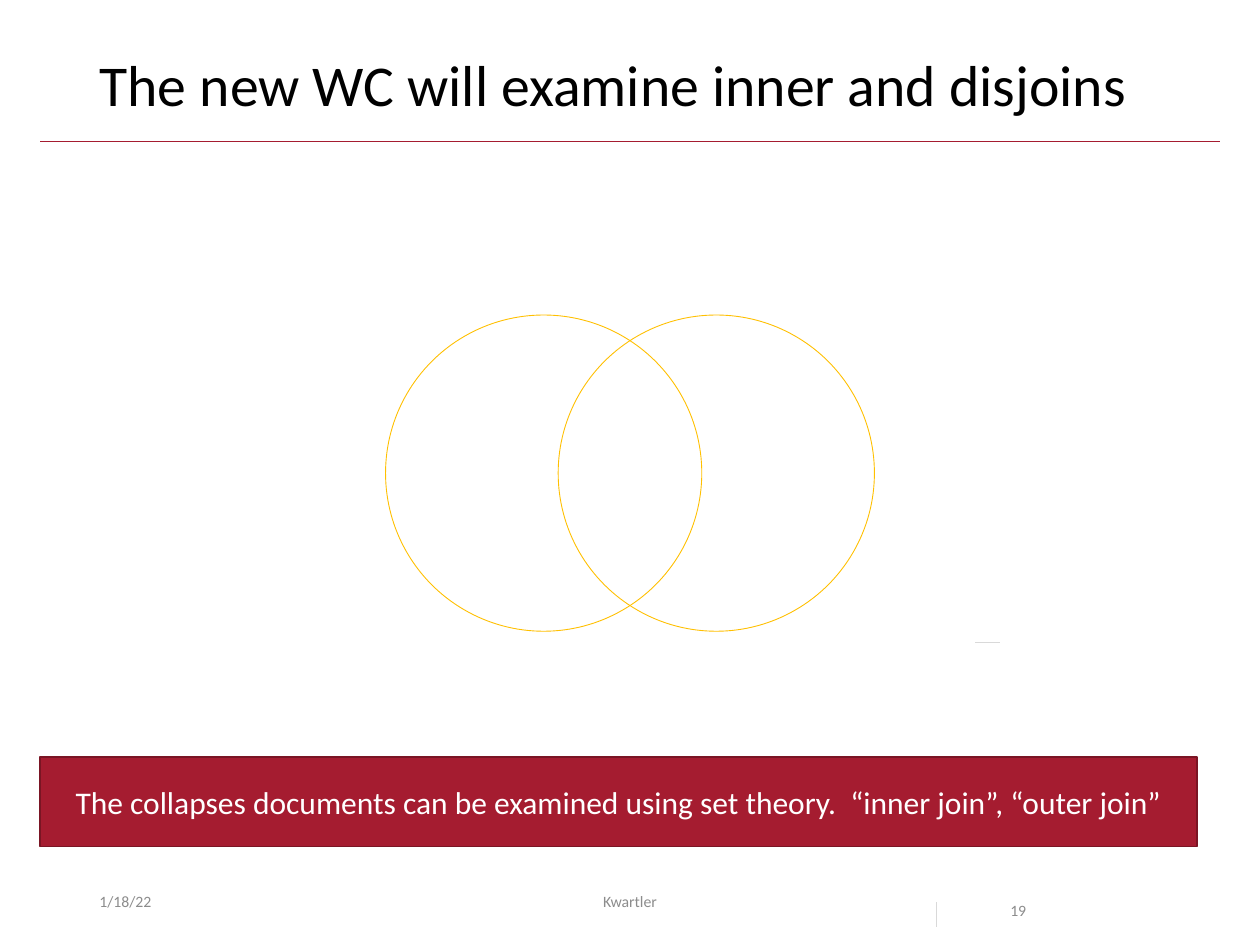
from dataclasses import dataclass

from pptx import Presentation
from pptx.dml.color import RGBColor as RGB
from pptx.enum.shapes import MSO_CONNECTOR as CONN, MSO_SHAPE as SHAPE
from pptx.enum.text import MSO_ANCHOR as ANCHOR, MSO_AUTO_SIZE as FIT, PP_ALIGN as ALIGN
from pptx.oxml.ns import qn
from pptx.util import Inches, Pt


@dataclass(frozen=True)
class Theme:
    font: str = "Calibri"
    title_size: int = 33
    banner_size: int = 18
    footer_size: int = 9
    black: RGB = RGB.from_string("000000")
    white: RGB = RGB.from_string("FFFFFF")
    crimson: RGB = RGB.from_string("A51C30")
    dark_crimson: RGB = RGB.from_string("7A1524")
    gold: RGB = RGB.from_string("FFC000")
    gray: RGB = RGB.from_string("8C8C8C")
    light_gray: RGB = RGB.from_string("D9D9D9")


THEME = Theme()


def write(sp, text, size, color, align=ALIGN.LEFT, anchor=ANCHOR.MIDDLE, spacing=1.0):
    tf = sp.text_frame
    tf.word_wrap = True
    tf.auto_size = FIT.NONE
    tf.vertical_anchor = anchor
    p = tf.paragraphs[0]
    p.alignment = align
    p.line_spacing = spacing
    r = p.add_run()
    r.text = text
    r.font.name = THEME.font
    r.font.size = Pt(size)
    r.font.color.rgb = color


def add_rule(slide, x1, y1, x2, y2, color):
    line = slide.shapes.add_connector(
        CONN.STRAIGHT, Inches(x1), Inches(y1), Inches(x2), Inches(y2))
    line.line.color.rgb = color
    line.line.width = Pt(0.5)
    line._element.spPr.append(line._element.makeelement(qn("a:effectLst"), {}))


def add_title(slide, text, x, y, w, h):
    sp = slide.shapes.title
    sp.left, sp.top, sp.width, sp.height = map(Inches, (x, y, w, h))
    write(sp, text, THEME.title_size, THEME.black, anchor=ANCHOR.TOP, spacing=0.9)


def add_venn(slide, x, y, w, h):
    """Two overlapping circles, as tall as the box, at its two ends."""
    group = slide.shapes.add_group_shape()
    for left in (x, x + w - h):
        sp = group.shapes.add_shape(
            SHAPE.OVAL, Inches(left), Inches(y), Inches(h), Inches(h))
        sp.shadow.inherit = False
        sp.fill.background()
        sp.line.color.rgb = THEME.gold
        sp.line.width = Pt(0.5)


def add_banner(slide, text, x, y, w, h):
    sp = slide.shapes.add_shape(SHAPE.RECTANGLE, *map(Inches, (x, y, w, h)))
    sp.shadow.inherit = False
    sp.fill.solid()
    sp.fill.fore_color.rgb = THEME.crimson
    sp.line.color.rgb = THEME.dark_crimson
    sp.line.width = Pt(1)
    write(sp, text, THEME.banner_size, THEME.white, ALIGN.CENTER)


def add_footer(slide, y, h):
    items = [
        ("1/18/22", 0.69, 2.25, {}),
        ("Kwartler", 3.31, 3.38, {"align": ALIGN.CENTER}),
        ("19", 7.92, 0.94, {"anchor": ANCHOR.TOP, "spacing": 2.0}),
    ]
    for text, x, w, style in items:
        sp = slide.shapes.add_textbox(*map(Inches, (x, y, w, h)))
        write(sp, text, THEME.footer_size, THEME.gray, **style)


def main():
    prs = Presentation()
    prs.slide_width, prs.slide_height = Inches(10), Inches(7.5)
    slide = prs.slides.add_slide(prs.slide_layouts[5])

    # Header
    add_rule(slide, 0.32, 1.12, 9.68, 1.12, THEME.crimson)
    add_title(slide, "The new WC will examine inner and disjoins", 0.69, 0.4, 8.62, 0.65)

    # Set diagram
    add_venn(slide, 3.06, 2.5, 3.88, 2.51)

    # Small gray marks
    add_rule(slide, 7.43, 7.16, 7.43, 7.36, THEME.light_gray)
    add_rule(slide, 7.74, 5.1, 7.94, 5.1, THEME.light_gray)

    # Takeaway and footer
    add_banner(
        slide,
        "The collapses documents can be examined using set theory.  “inner join”, “outer join”",
        0.32, 6.01, 9.18, 0.71)
    add_footer(slide, 6.95, 0.4)

    prs.save("out.pptx")


if __name__ == "__main__":
    main()
